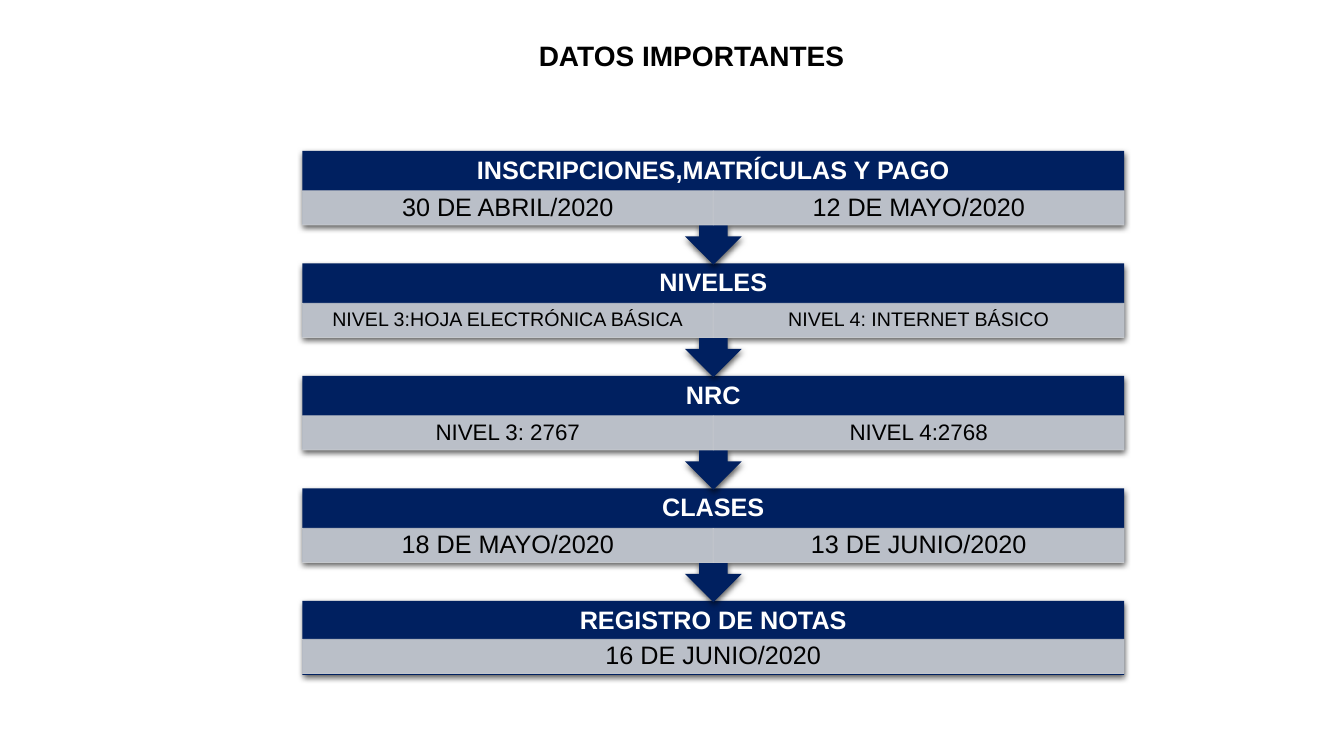
"""Build the "Datos importantes" slide: a downward process of dated steps."""
from dataclasses import dataclass

from lxml import etree
from pptx import Presentation
from pptx.dml.color import RGBColor
from pptx.enum.shapes import MSO_SHAPE
from pptx.enum.text import MSO_ANCHOR, MSO_AUTO_SIZE, PP_ALIGN
from pptx.oxml.ns import qn
from pptx.shapes.autoshape import Shape
from pptx.slide import Slide
from pptx.util import Pt

RECT, CALLOUT = MSO_SHAPE.RECTANGLE, MSO_SHAPE.UP_ARROW_CALLOUT
MIDDLE, CENTER = MSO_ANCHOR.MIDDLE, PP_ALIGN.CENTER
GROW = MSO_AUTO_SIZE.SHAPE_TO_FIT_TEXT


@dataclass(frozen=True)
class Theme:
    """Font, colours and type sizes."""
    font: str = "Arial"
    navy: RGBColor = RGBColor(0x00, 0x20, 0x60)
    gray: RGBColor = RGBColor(0xCF, 0xD1, 0xD4)
    white: RGBColor = RGBColor(0xFF, 0xFF, 0xFF)
    black: RGBColor = RGBColor(0x00, 0x00, 0x00)
    title: int = 20
    head: int = 18


@dataclass(frozen=True)
class Step:
    """One step: heading, detail cells and the cells' type size."""
    heading: str
    cells: tuple[str, ...]
    size: int = 18


THEME = Theme()
LEFT, TOP, WIDTH, PITCH = 216, 107.8, 587, 80.36
CALLOUT_H, LAST_H = 81.3, 52.8
HEAD_H, LAST_HEAD_H, CELL_H = 28.5, 27.4, 24.4
STEPS = (
    Step("INSCRIPCIONES,MATRÍCULAS Y PAGO", ("30 DE ABRIL/2020", "12 DE MAYO/2020")),
    Step("NIVELES", ("NIVEL 3:HOJA ELECTRÓNICA BÁSICA", "NIVEL 4: INTERNET BÁSICO"), 14),
    Step("NRC", ("NIVEL 3: 2767", "NIVEL 4:2768"), 16),
    Step("CLASES", ("18 DE MAYO/2020", "13 DE JUNIO/2020")),
    Step("REGISTRO DE NOTAS", ("16 DE JUNIO/2020",)),
)


def add_alpha(sp: Shape, percent: int) -> None:
    """Make the fill and line of a shape partly opaque."""
    for clr in sp._element.spPr.iter(qn("a:srgbClr")):
        etree.SubElement(clr, qn("a:alpha"), val=str(percent * 1000))


def add_shadow(sp: Shape) -> None:
    """Give a shape a soft shadow that falls downwards."""
    sp.shadow.inherit = False
    effects = sp._element.spPr.find(qn("a:effectLst"))
    shadow = etree.SubElement(effects, qn("a:outerShdw"), blurRad=str(Pt(4.5)),
                              dist=str(Pt(1.5)), dir="5400000", algn="ctr", rotWithShape="0")
    clr = etree.SubElement(shadow, qn("a:srgbClr"), val=str(THEME.black))
    etree.SubElement(clr, qn("a:alpha"), val="63000")


def set_text(sp: Shape, text: str, size: int, color: RGBColor,
             bold: bool = False, spacing: float = 0.9) -> None:
    """Write one centred line in a shape."""
    tf = sp.text_frame
    tf.text = text
    tf.word_wrap = True
    tf.vertical_anchor = MIDDLE
    p = tf.paragraphs[0]
    p.alignment, p.line_spacing = CENTER, spacing
    font = p.runs[0].font
    font.name, font.size, font.bold = THEME.font, Pt(size), bold
    font.color.rgb = color


def set_margins(sp: Shape, across: float, down: float) -> None:
    """Set the side and the top and bottom margins of a text frame."""
    tf = sp.text_frame
    tf.margin_left = tf.margin_right = Pt(across)
    tf.margin_top = tf.margin_bottom = Pt(down)


def add_cell(s: Slide, text: str, size: int, x: float, y: float, w: float) -> None:
    """Draw one detail cell."""
    sp = s.shapes.add_shape(RECT, Pt(x), Pt(y), Pt(w), Pt(CELL_H))
    sp.shadow.inherit = False
    sp.fill.solid()
    sp.fill.fore_color.rgb = THEME.gray
    sp.line.color.rgb = THEME.gray
    sp.line.width = Pt(0.5)
    add_alpha(sp, 90)
    set_text(sp, text, size, THEME.black)
    set_margins(sp, size * 0.57, size * 0.13)


def add_step(s: Slide, step: Step, y: float, last: bool) -> None:
    """Draw a step's block, heading and cells."""
    kind, height, head_h = (RECT, LAST_H, LAST_HEAD_H) if last else (CALLOUT, CALLOUT_H, HEAD_H)
    sp = s.shapes.add_shape(kind, Pt(LEFT), Pt(y), Pt(WIDTH), Pt(height))
    sp.rotation = 0 if last else 180
    sp.fill.solid()
    sp.fill.fore_color.rgb = THEME.navy
    sp.line.fill.background()
    add_shadow(sp)

    heading = s.shapes.add_textbox(Pt(LEFT), Pt(y), Pt(WIDTH), Pt(HEAD_H))
    set_text(heading, step.heading, THEME.head, THEME.white, bold=True)
    set_margins(heading, 10.2, 10.2)

    cell_w = WIDTH / len(step.cells)
    for i, text in enumerate(step.cells):
        add_cell(s, text, step.size, LEFT + i * cell_w, y + head_h, cell_w)


def add_title(s: Slide) -> None:
    """Write the slide title."""
    sp = s.shapes.add_textbox(Pt(376.6), Pt(23.8), Pt(234.7), Pt(31.5))
    set_text(sp, "DATOS IMPORTANTES", THEME.title, THEME.black, bold=True, spacing=1.0)
    sp.text_frame.word_wrap = False
    sp.text_frame.auto_size = GROW


def main() -> None:
    """Build and save the slide."""
    prs = Presentation()
    prs.slide_width, prs.slide_height = Pt(960), Pt(540)
    s = prs.slides.add_slide(prs.slide_layouts[6])
    for i, step in reversed(list(enumerate(STEPS))):
        add_step(s, step, TOP + i * PITCH, last=i == len(STEPS) - 1)
    add_title(s)
    prs.save("out.pptx")


main()
